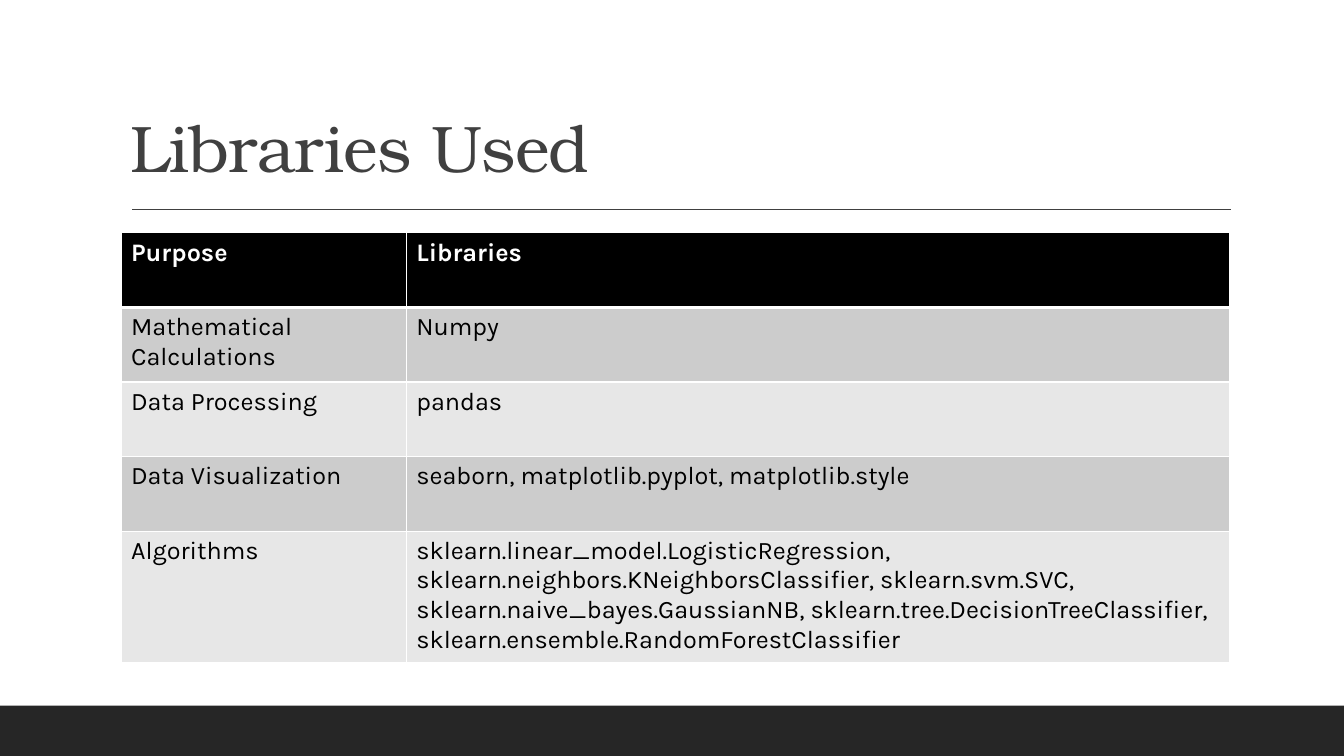
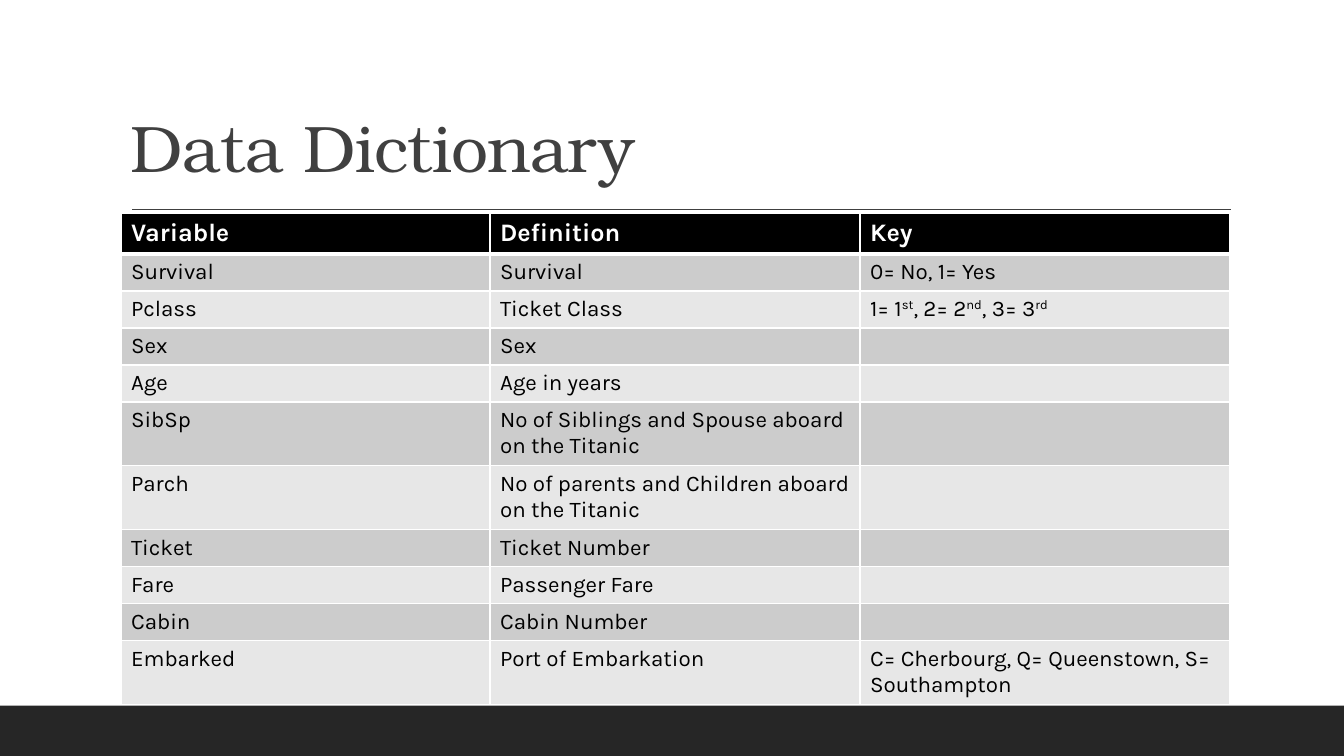
from dataclasses import dataclass

from lxml.etree import SubElement
from pptx import Presentation
from pptx.dml.color import RGBColor
from pptx.enum.shapes import MSO_CONNECTOR, MSO_SHAPE
from pptx.enum.text import MSO_ANCHOR
from pptx.oxml.ns import qn
from pptx.util import Inches, Pt

TITLE_FONT, BODY_FONT = "TeX Gyre Bonum", "Karla"
WHITE, BLACK, INK, BAND = "FFFFFF", "000000", "404040", "262626"
ROW_FILLS = ("E7E7E7", "CCCCCC")
LEFT, WIDTH = 1.2, 11
HEADER_SIZE = 18
THIN, THICK = 1, 3


@dataclass
class TableSlide:
    title: str
    top: float
    columns: list[float]
    heights: list[float]
    body_size: int
    rows: list[tuple[str, ...]]


SLIDES = [
    TableSlide(
        "Libraries Used", 2.31, [2.83, 8.17], [0.74] * 4 + [1.27], 18,
        [
            ("Purpose", "Libraries"),
            ("Mathematical Calculations", "Numpy"),
            ("Data Processing", "pandas"),
            ("Data Visualization", "seaborn, matplotlib.pyplot, matplotlib.style"),
            ("Algorithms",
             "sklearn.linear_model.LogisticRegression, "
             "sklearn.neighbors.KNeighborsClassifier, sklearn.svm.SVC, "
             "sklearn.naive_bayes.GaussianNB, sklearn.tree.DecisionTreeClassifier, "
             "sklearn.ensemble.RandomForestClassifier"),
        ],
    ),
    TableSlide(
        "Data Dictionary", 2.12, [3.66, 3.67, 3.67],
        [0.38] + [0.36] * 4 + [0.62] * 2 + [0.36] * 3 + [0.62], 16,
        [
            ("Variable", "Definition", "Key"),
            ("Survival", "Survival", "0= No, 1= Yes"),
            ("Pclass", "Ticket Class", "1= 1^st^, 2= 2^nd^, 3= 3^rd^"),
            ("Sex", "Sex", ""),
            ("Age", "Age in years", ""),
            ("SibSp", "No of Siblings and Spouse aboard on the Titanic", ""),
            ("Parch", "No of parents and Children aboard on the Titanic", ""),
            ("Ticket", "Ticket Number", ""),
            ("Fare", "Passenger Fare", ""),
            ("Cabin", "Cabin Number", ""),
            ("Embarked", "Port of Embarkation",
             "C= Cherbourg, Q= Queenstown, S= Southampton"),
        ],
    ),
]


def rgb(color: str) -> RGBColor:
    return RGBColor.from_string(color)


def style_font(font, name: str, size: float, color: str, bold: bool = False) -> None:
    font.name = name
    font.size = Pt(size)
    font.bold = bold
    font.color.rgb = rgb(color)


def add_frame(slide, title: str) -> None:
    sp = slide.shapes.add_shape(
        MSO_SHAPE.RECTANGLE, 0, Inches(7), Inches(13.33), Inches(0.5))
    sp.shadow.inherit = False
    sp.fill.solid()
    sp.fill.fore_color.rgb = rgb(BAND)
    sp.line.fill.background()

    rule = slide.shapes.add_connector(
        MSO_CONNECTOR.STRAIGHT, Inches(1.31), Inches(2.08), Inches(12.21), Inches(2.08))
    rule.line.color.rgb = rgb(INK)
    rule.line.width = Pt(1)
    SubElement(rule._element.spPr, qn("a:effectLst"))

    tf = slide.shapes.add_textbox(
        Inches(LEFT), Inches(0.31), Inches(WIDTH), Inches(1.59)).text_frame
    tf.word_wrap = True
    tf.vertical_anchor = MSO_ANCHOR.BOTTOM
    tf.text = title
    p = tf.paragraphs[0]
    p.line_spacing = 0.9
    r = p.runs[0]
    style_font(r.font, TITLE_FONT, 47, INK)
    r.font._element.set("spc", "-50")


def set_borders(cell, top: float, bottom: float) -> None:
    tc_pr = cell._tc.get_or_add_tcPr()
    for side, width in (("L", THIN), ("R", THIN), ("T", top), ("B", bottom)):
        ln = SubElement(tc_pr, qn(f"a:ln{side}"), w=str(Pt(width)))
        SubElement(SubElement(ln, qn("a:solidFill")), qn("a:srgbClr"), val=WHITE)


def fill_cell(cell, text: str, row: int, body_size: int) -> None:
    header = row == 0
    set_borders(cell, THICK if row == 1 else THIN, THICK if header else THIN)
    cell.fill.solid()
    cell.fill.fore_color.rgb = rgb(BLACK if header else ROW_FILLS[row % 2])
    size = HEADER_SIZE if header else body_size
    p = cell.text_frame.paragraphs[0]
    if not text:
        end = SubElement(p._p, qn("a:endParaRPr"), sz=str(size * 100))
        SubElement(end, qn("a:latin"), typeface=BODY_FONT)
        return
    for i, part in enumerate(text.split("^")):
        if part:
            r = p.add_run()
            r.text = part
            style_font(r.font, BODY_FONT, size, WHITE if header else BLACK, header)
            if i % 2:
                r.font._element.set("baseline", "30000")


def add_data_table(slide, data: TableSlide) -> None:
    table = slide.shapes.add_table(
        len(data.rows), len(data.columns), Inches(LEFT), Inches(data.top),
        Inches(WIDTH), Inches(sum(data.heights))).table
    table.first_row = table.horz_banding = False
    for column, width in zip(table.columns, data.columns):
        column.width = Inches(width)
    for i, (row, height, texts) in enumerate(zip(table.rows, data.heights, data.rows)):
        row.height = Inches(height)
        for cell, text in zip(row.cells, texts):
            fill_cell(cell, text, i, data.body_size)


def main() -> None:
    prs = Presentation()
    prs.slide_width, prs.slide_height = Inches(13.33), Inches(7.5)
    for data in SLIDES:
        slide = prs.slides.add_slide(prs.slide_layouts[6])
        add_frame(slide, data.title)
        add_data_table(slide, data)
    prs.save("out.pptx")


if __name__ == "__main__":
    main()
